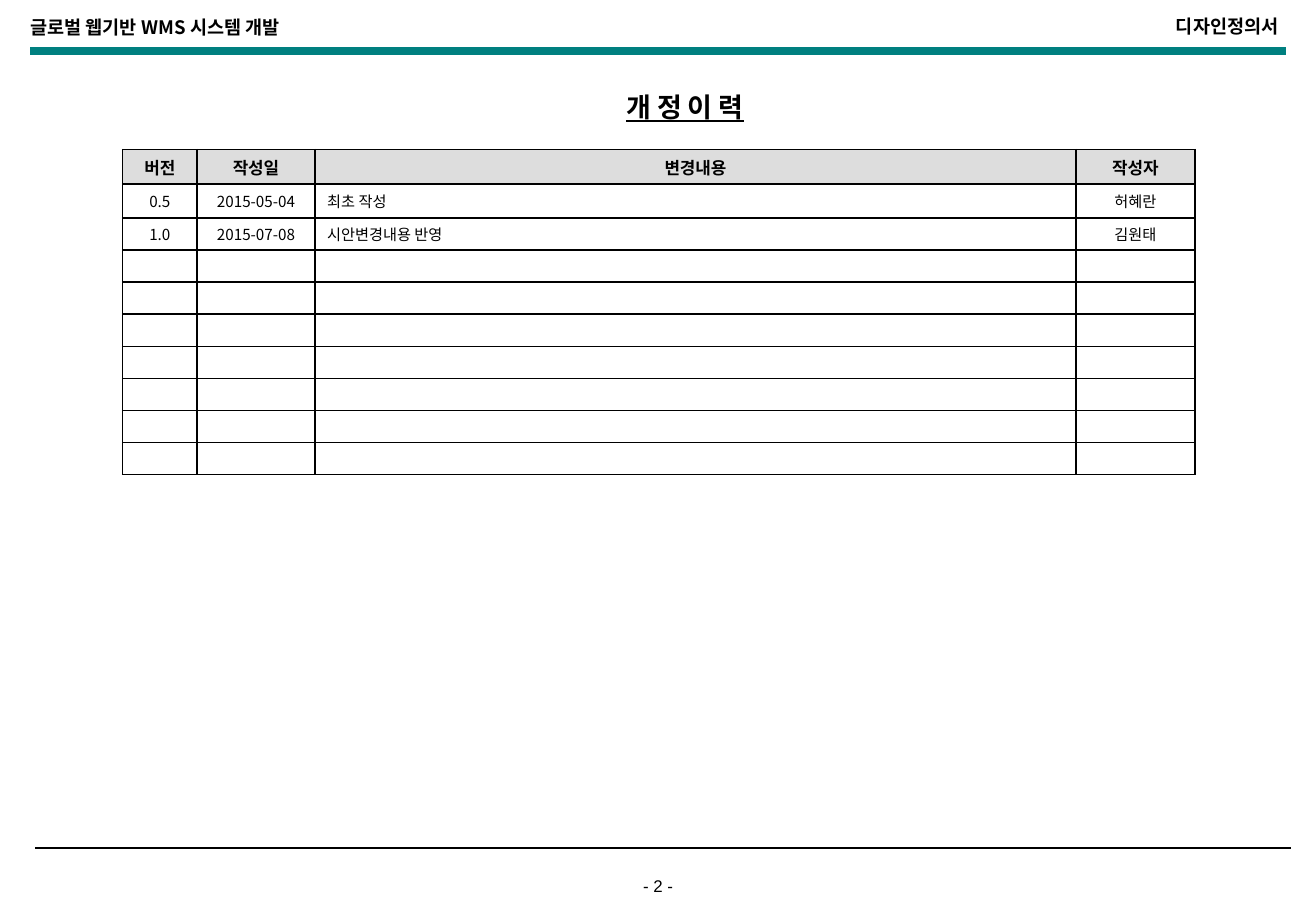
from dataclasses import dataclass

from lxml import etree
from pptx import Presentation
from pptx.dml.color import RGBColor
from pptx.enum.shapes import MSO_CONNECTOR
from pptx.enum.text import MSO_ANCHOR, PP_ALIGN
from pptx.oxml.ns import qn
from pptx.util import Pt

STRAIGHT = MSO_CONNECTOR.STRAIGHT
TOP, MIDDLE = MSO_ANCHOR.TOP, MSO_ANCHOR.MIDDLE
LEFT, CENTER, RIGHT = PP_ALIGN.LEFT, PP_ALIGN.CENTER, PP_ALIGN.RIGHT
JUSTIFY = PP_ALIGN.JUSTIFY


@dataclass(frozen=True)
class Theme:
    """Colours, fonts and type sizes of the document."""
    ink: str = "000000"
    accent: str = "008080"
    heading_fill: str = "DDDDDD"
    korean: str = "Noto Sans CJK KR"
    latin: str = "Arial"
    title: float = 16
    running: float = 11
    heading: float = 10
    body: float = 9


THEME = Theme()
COLUMN_WIDTHS = (44, 70, 451, 70.5)
COLUMN_ALIGNS = (CENTER, CENTER, LEFT, CENTER)
ROW_HEIGHTS = (20.4, 20.2) + (19,) * 8
REVISIONS = (
    ("버전", "작성일", "변경내용", "작성자"),
    ("0.5", "2015-05-04", "최초 작성", "허혜란"),
    ("1.0", "2015-07-08", "시안변경내용 반영", "김원태"),
) + (("",) * 4,) * 7


def write(frame, text, size=THEME.body, face=THEME.korean, bold=False,
          underline=False, align=LEFT):
    """Put one formatted line of text into a text frame."""
    paragraph = frame.paragraphs[0]
    paragraph.alignment = align
    if not text:
        etree.SubElement(paragraph._p, qn("a:endParaRPr"), sz=str(int(size * 100)))
        return
    run = paragraph.add_run()
    run.text = text
    font = run.font
    font.size, font.name = Pt(size), face
    font.bold, font.underline = bold, underline
    font.color.rgb = RGBColor.from_string(THEME.ink)
    etree.SubElement(run._r.get_or_add_rPr(), qn("a:ea"), typeface=face)


def label(slide, box, text, wrap=True, anchor=TOP, **style):
    """Add a text box holding one line."""
    frame = slide.shapes.add_textbox(*map(Pt, box)).text_frame
    frame.word_wrap = wrap
    frame.vertical_anchor = anchor
    write(frame, text, **style)


def rule(slide, left, top, width, color, weight):
    """Draw a horizontal rule without a shadow."""
    line = slide.shapes.add_connector(
        STRAIGHT, Pt(left), Pt(top), Pt(left + width), Pt(top))
    line.line.color.rgb = RGBColor.from_string(color)
    line.line.width = Pt(weight)
    etree.SubElement(line._element.spPr, qn("a:effectLst"))


def page_header(slide, left, top, width):
    """Place the project name, document name and accent rule."""
    style = dict(size=THEME.running, bold=True)
    label(slide, (left - 7.2, top, 379, 26.6), "글로벌 웹기반 WMS 시스템 개발",
          align=JUSTIFY, **style)
    label(slide, (left + width - 251, top - 0.7, 254, 26.6), "디자인정의서",
          align=RIGHT, **style)
    rule(slide, left, top + 24.2, width, THEME.accent, 4.5)


def page_footer(slide, left, top, width):
    """Place the footer rule and the page number."""
    rule(slide, left, top, width, THEME.ink, 1)
    label(slide, (left + 335.5, top + 13, 67, 19.4), "- 2 -",
          size=THEME.heading, face=THEME.latin, align=CENTER)


def border(cell):
    """Outline a table cell on all four sides."""
    properties = cell._tc.get_or_add_tcPr()
    for index, side in enumerate(("a:lnL", "a:lnR", "a:lnT", "a:lnB")):
        line = etree.Element(qn(side), w=str(Pt(1)))
        fill = etree.SubElement(line, qn("a:solidFill"))
        etree.SubElement(fill, qn("a:srgbClr"), val=THEME.ink)
        properties.insert(index, line)


def revision_table(slide, left, top):
    """Build the revision history table."""
    table = slide.shapes.add_table(
        len(REVISIONS), len(COLUMN_WIDTHS), Pt(left), Pt(top),
        Pt(sum(COLUMN_WIDTHS)), Pt(sum(ROW_HEIGHTS))).table
    table.horz_banding = False
    table.first_row = False
    for column, width in zip(table.columns, COLUMN_WIDTHS):
        column.width = Pt(width)
    for row_index, (row, height, entries) in enumerate(
            zip(table.rows, ROW_HEIGHTS, REVISIONS)):
        row.height = Pt(height)
        is_heading = row_index == 0
        for cell, entry, align in zip(row.cells, entries, COLUMN_ALIGNS):
            cell.vertical_anchor = MIDDLE
            cell.margin_top = cell.margin_bottom = Pt(2)
            if is_heading:
                cell.fill.solid()
                cell.fill.fore_color.rgb = RGBColor.from_string(THEME.heading_fill)
                write(cell.text_frame, entry, size=THEME.heading, bold=True,
                      align=CENTER)
            else:
                cell.fill.background()
                write(cell.text_frame, entry, align=align)
            border(cell)


def revision_history(slide, left, top):
    """Place the page title and the table below it."""
    label(slide, (left + 282.3, top, 102, 26.6), "개 정 이 력", wrap=False,
          anchor=MIDDLE, size=THEME.title, bold=True, underline=True, align=CENTER)
    revision_table(slide, left, top + 39)


def main():
    """Build the revision history page and save it."""
    deck = Presentation()
    deck.slide_width, deck.slide_height = Pt(780), Pt(540)
    slide = deck.slides.add_slide(deck.slide_layouts[6])
    page_header(slide, 18, 6, 744)
    page_footer(slide, 21, 502.5, 744)
    revision_history(slide, 72.7, 49.7)
    deck.save("out.pptx")


if __name__ == "__main__":
    main()
